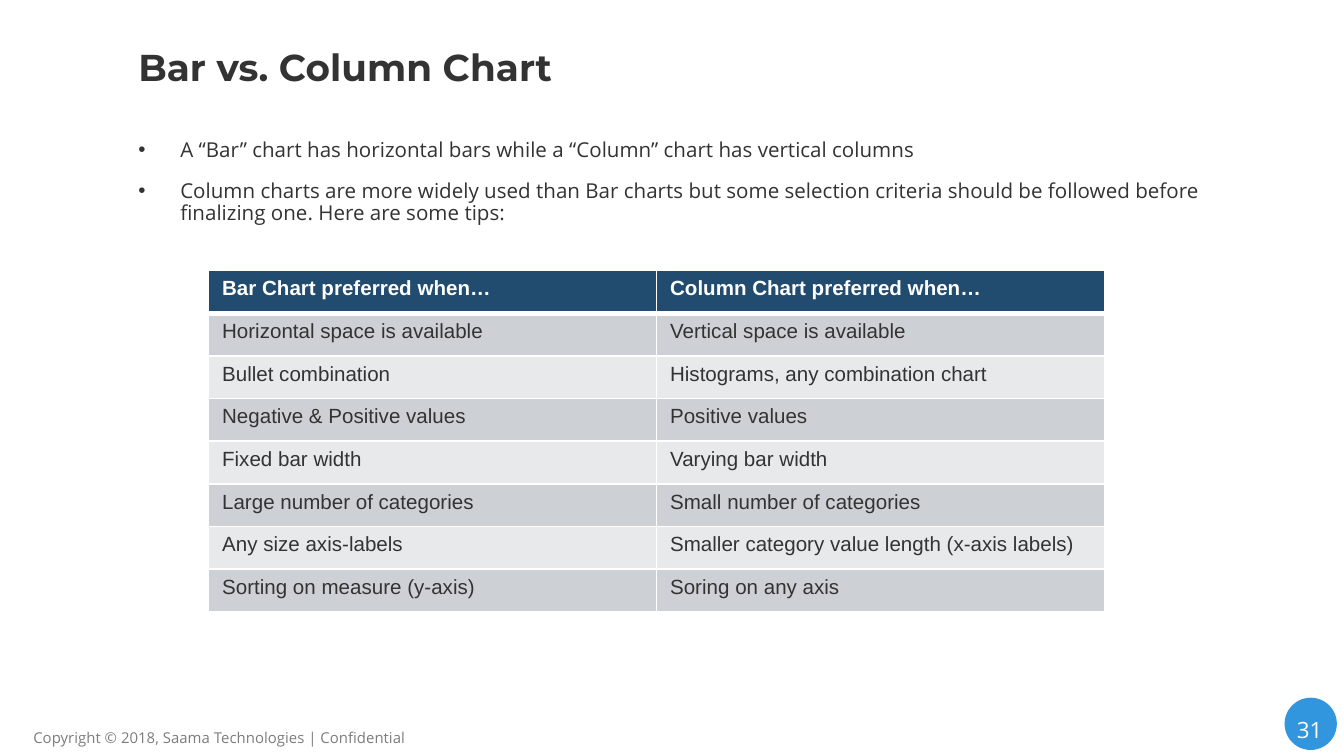
from lxml import etree
from pptx import Presentation
from pptx.dml.color import RGBColor
from pptx.enum import shapes, text
from pptx.oxml import ns
from pptx.util import Pt

INK, WHITE, GREY = "333333", "FFFFFF", "7C7C7C"
NAVY, BLUE = "224C6F", "3196DE"
BANDS = ("CDD0D5", "E8E9EB")

BULLETS = [
    "A “Bar” chart has horizontal bars while a “Column” chart has vertical columns",
    "Column charts are more widely used than Bar charts but some selection criteria "
    "should be followed before finalizing one. Here are some tips:",
]
TIPS = [
    ("Bar Chart preferred when…", "Column Chart preferred when…"),
    ("Horizontal space is available", "Vertical space is available"),
    ("Bullet combination", "Histograms, any combination chart"),
    ("Negative & Positive values", "Positive values"),
    ("Fixed bar width", "Varying bar width"),
    ("Large number of categories", "Small number of categories"),
    ("Any size axis-labels", "Smaller category value length (x-axis labels)"),
    ("Sorting on measure (y-axis)", "Soring on any axis"),
]


def colour(value):
    return RGBColor.from_string(value)


def write(para, words, font="Open Sans", size=11, ink=INK, bold=False):
    span = para.add_run()
    span.text = words
    span.font.name = font
    span.font.size = Pt(size)
    span.font.bold = bold
    span.font.color.rgb = colour(ink)


def add_bullet(para, indent):
    """Give the paragraph a hanging bullet, indented in points."""
    props = para._p.get_or_add_pPr()
    props.set("marL", str(Pt(indent)))
    props.set("indent", str(-Pt(indent)))
    etree.SubElement(props, ns.qn("a:buFont"), typeface="Arial")
    etree.SubElement(props, ns.qn("a:buChar"), char="•")


def set_borders(cell, **widths):
    """Draw white cell borders; the keys L, R, T and B give widths in points."""
    props = cell._tc.get_or_add_tcPr()
    for place, side in enumerate("LRTB"):
        line = etree.Element(ns.qn(f"a:ln{side}"), w=str(Pt(widths.get(side, 1))))
        fill = etree.SubElement(line, ns.qn("a:solidFill"))
        etree.SubElement(fill, ns.qn("a:srgbClr"), val=WHITE)
        props.insert(place, line)


class Slide:
    def __init__(self, page):
        self.page = page

    def text_frame(self, left, top, width, height, anchor=text.MSO_ANCHOR.TOP):
        box = self.page.shapes.add_textbox(Pt(left), Pt(top), Pt(width), Pt(height))
        frame = box.text_frame
        frame.word_wrap = True
        frame.vertical_anchor = anchor
        return frame

    def label(self, words, *place, anchor=text.MSO_ANCHOR.TOP,
              align=text.PP_ALIGN.LEFT, spacing=1.0, **style):
        para = self.text_frame(*place, anchor=anchor).paragraphs[0]
        para.alignment = align
        para.line_spacing = spacing
        write(para, words, **style)

    def bullets(self, items, *place):
        frame = self.text_frame(*place)
        for index, words in enumerate(items):
            para = frame.add_paragraph() if index else frame.paragraphs[0]
            para.line_spacing = 0.9
            para.space_before = Pt(5 if index else 0)
            para.space_after = Pt(5)
            add_bullet(para, 22.5)
            write(para, words)

    def circle(self, left, top, size, fill):
        disc = self.page.shapes.add_shape(
            shapes.MSO_SHAPE.OVAL, Pt(left), Pt(top), Pt(size), Pt(size))
        disc.shadow.inherit = False
        disc.fill.solid()
        disc.fill.fore_color.rgb = colour(fill)
        disc.line.fill.background()

    def table(self, rows, left, top, width, row_height):
        grid = self.page.shapes.add_table(
            len(rows), len(rows[0]), Pt(left), Pt(top),
            Pt(width), Pt(row_height * len(rows))).table
        for index, row in enumerate(rows):
            header = index == 0
            for column, words in enumerate(row):
                cell = grid.cell(index, column)
                cell.fill.solid()
                cell.fill.fore_color.rgb = colour(NAVY if header else BANDS[(index - 1) % 2])
                set_borders(cell, T=3 if index == 1 else 1, B=3 if header else 1)
                write(cell.text_frame.paragraphs[0], words, font="Arial",
                      ink=WHITE if header else INK, bold=header)


def main():
    deck = Presentation()
    deck.slide_width, deck.slide_height = Pt(720), Pt(405)
    slide = Slide(deck.slides.add_slide(deck.slide_layouts[6]))
    middle = text.MSO_ANCHOR.MIDDLE

    slide.circle(688.2, 373.8, 28, BLUE)
    slide.label("31", 683.3, 364.3, 36.7, 45.4, anchor=middle,
                align=text.PP_ALIGN.CENTER, spacing=1.5, size=12, ink=WHITE)
    slide.label("Copyright © 2018, Saama Technologies | Confidential",
                10.8, 386.6, 282, 15, size=8, ink=GREY)
    slide.label("Bar vs. Column Chart", 67, 10, 617, 51, anchor=middle,
                font="Montserrat", size=20, bold=True)
    slide.bullets(BULLETS, 67, 71.3, 618, 299)
    slide.table(TIPS, 111.8, 145, 480, 22.86)

    deck.save("out.pptx")


if __name__ == "__main__":
    main()
